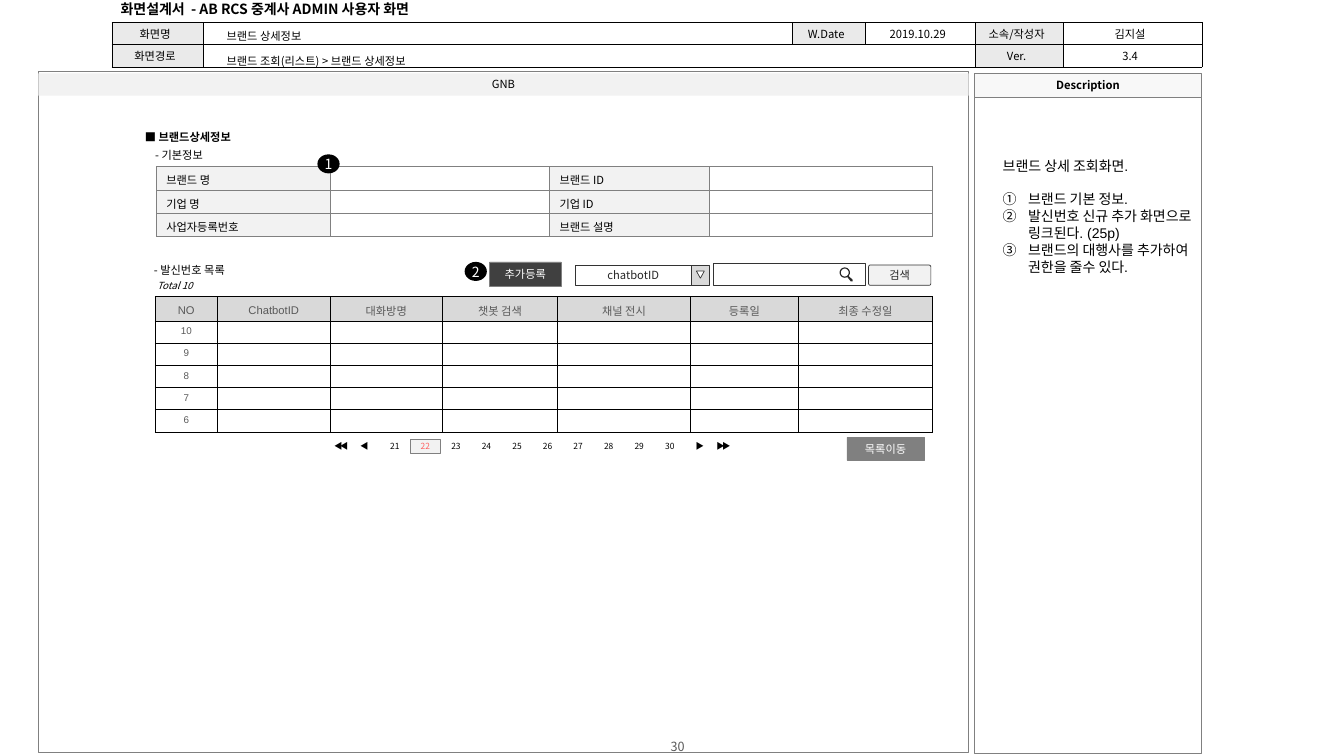
import math
from lxml import etree
from pptx import Presentation
from pptx import util as u
from pptx.dml.color import RGBColor
from pptx.enum import shapes, text
from pptx.oxml import ns

Cm, Pt = u.Cm, u.Pt
KIND, ALIGN, ANCHOR = shapes.MSO_SHAPE, text.PP_ALIGN, text.MSO_ANCHOR


class Theme:
    sans, arial = "Noto Sans CJK KR", "Arial"
    black, ink, gray, white = "000000", "262626", "595959", "FFFFFF"
    edge, rim, dark, red = "808080", "333333", "404040", "FF6060"
    label, pale, faint, head = "EAEAEA", "F2F2F2", "F8F8F8", "D9D9D9"
    tiny, small, body, page, large = 6, 7, 8, 9, 10
    thin, mid = 0.25, 0.5


T = Theme

# Content: boxes are (left, top, width, height) in cm
INFO = [
    ["화면명", "", "W.Date", "2019.10.29", "소속/작성자", "김지설"],
    ["화면경로", "", "", "", "Ver.", "3.4"],
]
BASIC = [
    ["브랜드 명", "", "브랜드 ID", ""],
    ["기업 명", "", "기업 ID", ""],
    ["사업자등록번호", "", "브랜드 설명", ""],
]
HEADS = ["NO", "ChatbotID", "대화방명", "챗봇 검색", "채널 전시", "등록일", "최종 수정일"]
LIST = [HEADS] + [[str(n)] + [""] * 6 for n in range(10, 5, -1)]

INFO_COLS = [2.31, 14.83, 1.85, 2.77, 2.21, 3.51]
BASIC_COLS = [4.37, 5.54, 4.01, 5.64]
LIST_COLS = [1.57, 2.84, 2.83, 2.9, 3.35, 2.72, 3.38]

LABELS = [
    ("화면설계서  - AB RCS 중계사 ADMIN 사용자 화면", (2.79, -0.1, 8.81, 0.66),
     dict(size=T.large, bold=True, anchor=ANCHOR.MIDDLE)),
    ("브랜드 상세정보", (5.46, 0.61, 7.98, 0.61), {}),
    ("브랜드 조회(리스트) > 브랜드 상세정보", (5.46, 1.24, 7.98, 0.61), {}),
    ("■ 브랜드상세정보", (3.4, 3.15, 3.3, 0.61), dict(bold=True)),
    ("- 기본정보", (3.66, 3.61, 3.61, 0.61), {}),
    ("- 발신번호 목록", (3.63, 6.5, 3.61, 0.61), {}),
    ("Total 10", (3.71, 6.93, 3.61, 0.56), dict(size=T.small, italic=True)),
    ("30", (13.13, 18.64, 7.9, 0.33),
     dict(size=T.page, color=T.gray, align=ALIGN.CENTER, anchor=ANCHOR.MIDDLE)),
]
FRAMES = [
    ("", (0.97, 1.8, 23.44, 17.15), dict(line=T.edge)),
    ("", (24.56, 2.44, 5.72, 16.54), dict(line=T.edge)),
    ("Description", (24.56, 1.85, 5.72, 0.61), dict(fill=T.faint, line=T.edge, bold=True)),
    ("GNB", (0.97, 1.85, 23.44, 0.56), dict(fill=T.pale)),
]
RIM = dict(line=T.rim, weight=T.mid, color=T.ink)
CONTROLS = [
    ("추가등록", (12.34, 6.6, 1.8, 0.61), dict(fill=T.dark, line=T.edge, color=T.white)),
    ("chatbotID", (14.5, 6.68, 2.92, 0.51), dict(fill=T.white, **RIM)),
    ("", (17.42, 6.68, 0.46, 0.51), dict(fill=T.head, **RIM)),
    ("", (17.55, 6.83, 0.2, 0.18), dict(kind=KIND.ISOSCELES_TRIANGLE, turn=180, fill=T.white, **RIM)),
    ("", (17.98, 6.63, 3.84, 0.56), dict(fill=T.white, **RIM)),
    ("검색", (21.89, 6.68, 1.57, 0.51),
     dict(kind=KIND.ROUNDED_RECTANGLE, round=0.088, fill=T.pale, **RIM)),
    ("목록이동", (21.34, 11.02, 1.96, 0.58), dict(fill=T.edge, line=T.edge, color=T.white)),
]
MARKS = [("1", 8.0, 3.89), ("2", 11.71, 6.6)]
PAGES, NOW = range(21, 31), 22
PAGE_X, PAGE_Y, PAGE_STEP, PAGE_W, PAGE_H = 9.58, 11.07, 0.77, 0.74, 0.36
ARROWS = [("◀◀", 8.23), ("◀", 8.81), ("▶", 17.27), ("▶▶", 17.86)]
NOTES = [
    "브랜드 상세 조회화면.",
    "브랜드 기본 정보.",
    "발신번호 신규 추가 화면으로 링크된다. (25p)",
    "브랜드의 대행사를 추가하여 권한을 줄수 있다.",
]
NOTE_BOX, NOTE_LINE = (25.02, 3.84, 6.15, 3.68), 12
LENS, RINGS = (21.29, 6.87), (0.13, 0.1)
GRIP = [(21.39, 6.96), (21.36, 6.99), (21.44, 7.09), (21.49, 7.09), (21.49, 7.05)]


def rgb(code):
    return RGBColor.from_string(code)


def tag(parent, name, **attrs):
    node = etree.SubElement(parent, ns.qn(name))
    for key, val in attrs.items():
        node.set(key, str(val))
    return node


def write(frame, lines, size=T.body, font=T.sans, color=T.black, bold=False,
          italic=False, align=ALIGN.LEFT, anchor=ANCHOR.TOP, track=0):
    """Fill a text frame; a blank line only fixes the height of its empty paragraph."""
    frame.word_wrap, frame.vertical_anchor = True, anchor
    for i, line in enumerate([lines] if isinstance(lines, str) else lines):
        para = frame.add_paragraph() if i else frame.paragraphs[0]
        para.alignment = align
        if not line:
            tag(para._p, "a:endParaRPr", sz=size * 100)
            continue
        run = para.add_run()
        run.text = line
        face = run.font
        face.size, face.name, face.bold, face.italic = Pt(size), font, bold, italic
        face.color.rgb = rgb(color)
        props = run._r.get_or_add_rPr()
        tag(props, "a:ea", typeface=T.sans)
        if track:
            props.set("spc", str(track))


def label(slide, words, box, flush=False, **fmt):
    frame = slide.shapes.add_textbox(*map(Cm, box)).text_frame
    if flush:
        frame.margin_left = frame.margin_right = frame.margin_top = frame.margin_bottom = 0
    write(frame, words, **fmt)
    return frame


def paint(shape, fill, line, weight):
    shape.shadow.inherit = False
    if fill:
        shape.fill.solid()
        shape.fill.fore_color.rgb = rgb(fill)
    else:
        shape.fill.background()
    if line:
        shape.line.color.rgb, shape.line.width = rgb(line), Pt(weight)
    else:
        shape.line.fill.background()


def block(slide, words, box, kind=KIND.RECTANGLE, fill=None, line=None,
          weight=T.thin, turn=0, round=None, **fmt):
    shape = slide.shapes.add_shape(kind, *map(Cm, box))
    paint(shape, fill, line, weight)
    shape.rotation = turn
    if round is not None:
        shape.adjustments[0] = round
    frame = shape.text_frame
    frame.margin_left = frame.margin_right = frame.margin_top = frame.margin_bottom = 0
    if words:
        write(frame, words, align=ALIGN.CENTER, anchor=ANCHOR.MIDDLE, **fmt)


def grid(slide, rows, spot, cols, highs, edge, style, pads):
    """Draw a table; style(r, c) gives the fill and text format of a cell."""
    grid_box = [*spot, sum(cols), sum(highs)]
    table = slide.shapes.add_table(len(rows), len(cols), *map(Cm, grid_box)).table
    table.first_row = table.horz_banding = False
    for col, wide in zip(table.columns, cols):
        col.width = Cm(wide)
    for r, (row, high) in enumerate(zip(rows, highs)):
        table.rows[r].height = Cm(high)
        for c, words in enumerate(row):
            cell = table.cell(r, c)
            fill, fmt = style(r, c)
            cell.margin_left, cell.margin_top, cell.margin_right, cell.margin_bottom = map(Cm, pads)
            write(cell.text_frame, words, **fmt)
            cell.vertical_anchor = fmt["anchor"]
            props = cell._tc.get_or_add_tcPr()
            for side in "LRTB":
                line = tag(props, "a:ln" + side, w=Pt(T.thin))
                tag(tag(line, "a:solidFill"), "a:srgbClr", val=edge)
            cell.fill.solid()
            cell.fill.fore_color.rgb = rgb(fill)
    return table


def info_style(r, c):
    return (T.label if c in (0, 4) or (r, c) == (0, 2) else T.white,
            dict(align=ALIGN.CENTER, anchor=ANCHOR.MIDDLE))


def basic_style(r, c):
    return T.white if c % 2 else T.pale, dict(anchor=ANCHOR.MIDDLE)


def list_style(r, c):
    fmt = dict(font=T.arial, color=T.gray, align=ALIGN.CENTER)
    if r:
        return T.white, dict(fmt, size=T.small, anchor=ANCHOR.TOP)
    return T.head, dict(fmt, anchor=ANCHOR.MIDDLE)


def lens(slide):
    """Draw the search glass: two rings and a grip in one outline."""
    paths = [[(LENS[0] + rad * math.cos(a * math.pi / 12), LENS[1] + rad * math.sin(a * math.pi / 12))
              for a in range(24)] for rad in RINGS] + [GRIP]
    paths = [[(Cm(x), Cm(y)) for x, y in path] for path in paths]
    pen = slide.shapes.build_freeform(*paths[0][0])
    for i, path in enumerate(paths):
        if i:
            pen.move_to(*path[0])
        pen.add_line_segments(path[1:], close=True)
    paint(pen.convert_to_shape(), T.ink, None, 0)


def notes(slide):
    frame = label(slide, NOTES, NOTE_BOX, size=T.large, font=T.arial)
    for i, para in enumerate(frame.paragraphs):
        para.line_spacing = Pt(NOTE_LINE)
        if i:
            props = para._p.get_or_add_pPr()
            props.set("marL", str(Cm(0.64)))
            props.set("indent", str(-Cm(0.64)))
            para.space_before = Pt(NOTE_LINE if i == 1 else 0)
            tag(props, "a:buFont", typeface=T.arial)
            tag(props, "a:buAutoNum", type="circleNumDbPlain")


def main():
    deck = Presentation()
    deck.slide_width, deck.slide_height = Cm(33.87), Cm(19.05)
    slide = deck.slides.add_slide(deck.slide_layouts[6])
    for words, box, look in FRAMES:
        block(slide, words, box, **look)
    info = grid(slide, INFO, (2.82, 0.56), INFO_COLS, [0.56] * 2, T.black,
                info_style, (0.1, 0.05, 0.23, 0.03))
    info.cell(1, 1).merge(info.cell(1, 3))
    pads = (0.25, 0.13, 0.25, 0.03)
    grid(slide, BASIC, (3.94, 4.19), BASIC_COLS, [0.59] * 3, T.edge, basic_style, pads)
    grid(slide, LIST, (3.91, 7.47), LIST_COLS, [0.61] + [0.56] * 5, T.black, list_style, pads)
    for words, box, look in LABELS:
        label(slide, words, box, **look)
    for words, box, look in CONTROLS:
        block(slide, words, box, **look)
    lens(slide)
    for i, num in enumerate(PAGES):
        look = dict(fill=T.pale, line=T.edge, color=T.red) if num == NOW else dict(fill=T.white)
        block(slide, str(num), (PAGE_X + i * PAGE_STEP, PAGE_Y, PAGE_W, PAGE_H), size=T.tiny, **look)
    for sign, x in ARROWS:
        label(slide, sign, (x, PAGE_Y, PAGE_W, PAGE_H), flush=True, size=T.tiny, align=ALIGN.CENTER,
              anchor=ANCHOR.MIDDLE, track=-190 if len(sign) > 1 else 0)
    notes(slide)
    for num, x, y in MARKS:
        block(slide, num, (x, y, 0.56, 0.48), kind=KIND.OVAL, fill=T.black, color=T.white, size=T.large)
    deck.save("out.pptx")


if __name__ == "__main__":
    main()
